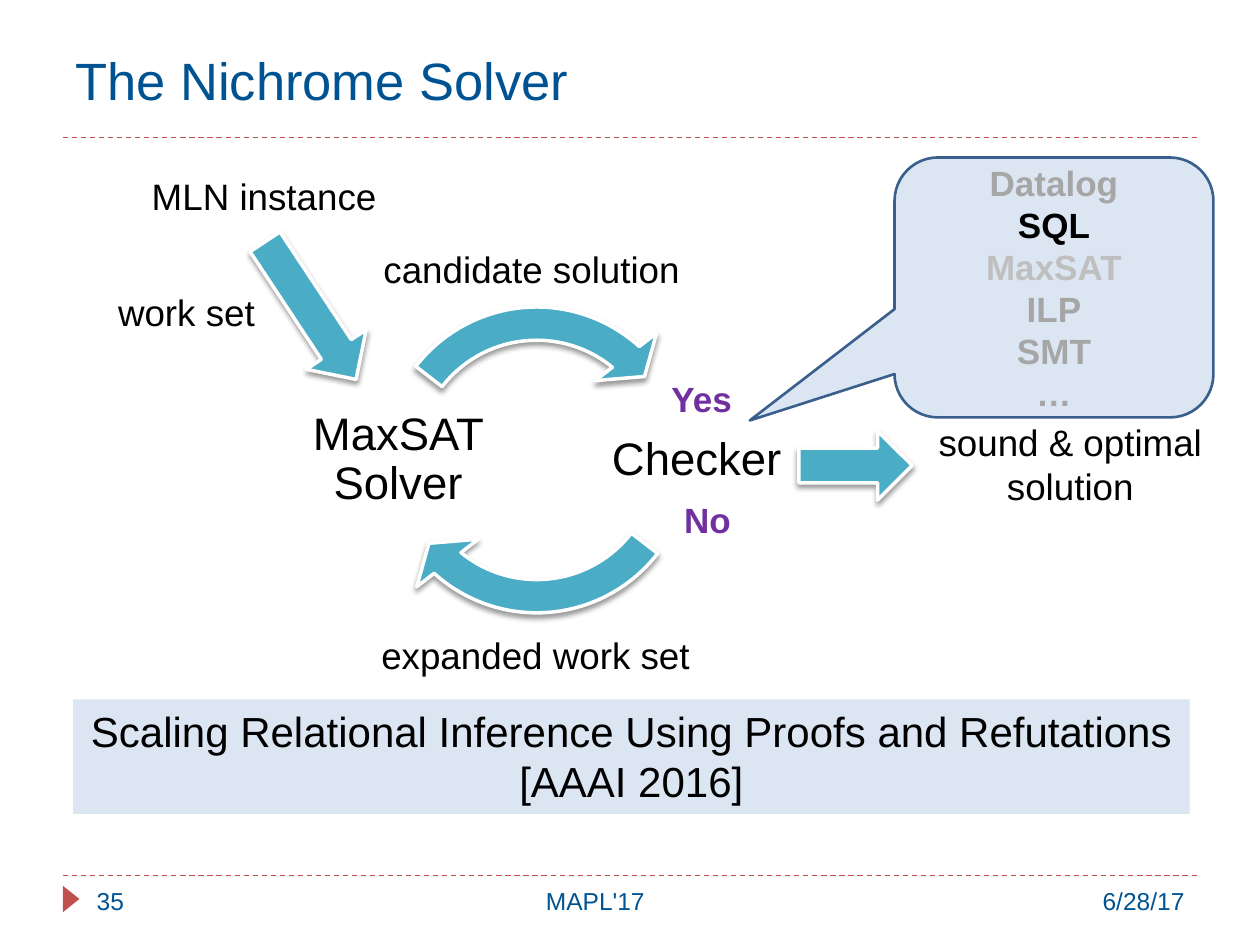
from lxml import etree
from pptx import Presentation
from pptx import util as u
from pptx.dml.color import RGBColor
from pptx.enum import dml, shapes, text
from pptx.oxml.ns import qn

COLORS = {
    "black": "000000",
    "white": "FFFFFF",
    "blue": "005392",
    "red": "C0504D",
    "teal": "4BACC6",
    "pale": "DCE6F2",
    "outline": "3A5F8C",
    "purple": "7030A0",
    "gray": "A6A6A6",
    "silver": "BFBFBF",
}
FONT = "Arial"
SHAPE = shapes.MSO_SHAPE
ALIGN = text.PP_ALIGN
ANCHOR = text.MSO_ANCHOR


def rgb(name):
    return RGBColor.from_string(COLORS[name])


def write(sp, lines, size, align=ALIGN.CENTER, anchor=ANCHOR.TOP, bold=False, spacing=None):
    tf = sp.text_frame
    tf.word_wrap = True
    tf.vertical_anchor = anchor
    for i, (words, color) in enumerate(lines):
        p = tf.paragraphs[0] if i == 0 else tf.add_paragraph()
        p.alignment = align
        if spacing:
            p.line_spacing = spacing
        r = p.add_run()
        r.text = words
        r.font.name = FONT
        r.font.size = u.Pt(size)
        r.font.bold = bold
        r.font.color.rgb = rgb(color)


def add_label(s, box, words, size=21, color="black", margin=None, **style):
    sp = s.shapes.add_textbox(*map(u.Pt, box))
    tf = sp.text_frame
    if margin is not None:
        tf.margin_left = tf.margin_right = u.Pt(margin)
        tf.margin_top = tf.margin_bottom = u.Pt(margin)
    write(sp, [(words, color)], size, **style)


def add_block(s, kind, box, fill, line=None, width=1, adjustments=(), rotation=0):
    sp = s.shapes.add_shape(kind, *map(u.Pt, box))
    sp.shadow.inherit = False
    sp.rotation = rotation
    sp.fill.solid()
    sp.fill.fore_color.rgb = rgb(fill)
    if line:
        sp.line.color.rgb = rgb(line)
        sp.line.width = u.Pt(width)
    else:
        sp.line.fill.background()
    for i, value in enumerate(adjustments):
        sp.adjustments[i] = value
    return sp


def add_arrow(s, kind, box, **options):
    sp = add_block(s, kind, box, "teal", "white", 2, **options)
    effects = sp._element.spPr.find(qn("a:effectLst"))
    shadow = etree.SubElement(effects, qn("a:outerShdw"), blurRad=str(u.Pt(3)),
                              dist=str(u.Pt(2)), dir="5400000", rotWithShape="0")
    color = etree.SubElement(shadow, qn("a:srgbClr"), val=COLORS["black"])
    etree.SubElement(color, qn("a:alpha"), val="40000")


def add_rule(s, y):
    line = s.shapes.add_connector(shapes.MSO_CONNECTOR.STRAIGHT,
                                  u.Pt(36), u.Pt(y), u.Pt(684), u.Pt(y))
    line.line.color.rgb = rgb("red")
    line.line.width = u.Pt(0.75)
    line.line.dash_style = dml.MSO_LINE.DASH
    etree.SubElement(line._element.spPr, qn("a:effectLst"))


def add_frame(s):
    for y in (500.4, 78.5):
        add_rule(s, y)
    add_block(s, SHAPE.ISOSCELES_TRIANGLE, (33.1, 509, 15.1, 9.4), "red", rotation=90)
    add_label(s, (36, 12.2, 648, 67), "The Nichrome Solver", 30, "blue",
              align=ALIGN.LEFT, anchor=ANCHOR.MIDDLE)
    for left, width, words, align in (
        (504, 180, "6/28/17", ALIGN.RIGHT),
        (48.2, 64, "35", ALIGN.LEFT),
        (112.3, 455.8, "MAPL'17", ALIGN.CENTER),
    ):
        add_label(s, (left, 502.6, width, 28.8), words, 14, "blue", align=align)


def add_boxes(s):
    banner = add_block(s, SHAPE.RECTANGLE, (41.8, 399.6, 638, 65.5), "pale")
    write(banner, [("Scaling Relational Inference Using Proofs and Refutations [AAAI 2016]",
                    "black")], 24)
    callout = add_block(s, SHAPE.ROUNDED_RECTANGULAR_CALLOUT, (511.2, 90, 182.2, 148.5),
                        "pale", "outline", 1.5, (-0.954, 0.512, 0.167))
    write(callout, [("Datalog", "gray"), ("SQL", "black"), ("MaxSAT", "silver"),
                    ("ILP", "gray"), ("SMT", "gray"), ("…", "gray")],
          20, anchor=ANCHOR.MIDDLE, bold=True)


def add_cycle(s):
    for box, words in (((344.9, 214.6, 106.6, 97.2), "Checker"),
                       ((174.2, 218.9, 106.6, 88.6), "MaxSAT Solver")):
        add_label(s, box, words, 26, margin=2.9, anchor=ANCHOR.MIDDLE, spacing=0.9)
    for end, start in ((78.516, 22.636), (186.516, 130.636)):
        add_arrow(s, SHAPE.CIRCULAR_ARROW, (206.6, 162.7, 200.2, 200.2),
                  adjustments=(0.095, 6.848, end, start, 0.111))
    add_arrow(s, SHAPE.RIGHT_ARROW, (130.3, 157, 94.3, 41), rotation=56.5)
    add_arrow(s, SHAPE.RIGHT_ARROW, (456.5, 246.2, 64.8, 39.6))


def add_labels(s):
    instance = add_block(s, SHAPE.RECTANGLE, (31, 95.8, 239.8, 32.4), "white")
    write(instance, [("MLN instance", "black")], 21)
    for box, words in (
        ((46.8, 162, 119.5, 33.8), "work set"),
        ((202.3, 357.8, 207.4, 32.4), "expanded work set"),
        ((206.6, 137.5, 194.4, 33.8), "candidate solution"),
        ((501.8, 236.2, 219.6, 58.3), "sound & optimal solution"),
    ):
        add_label(s, box, words)
    for left, top, words in ((376.6, 212.4, "Yes"), (383.8, 281.5, "No")):
        add_label(s, (left, top, 54, 32), words, 20, "purple", align=ALIGN.LEFT, bold=True)


def main():
    prs = Presentation()
    prs.slide_width, prs.slide_height = u.Pt(720), u.Pt(540)
    s = prs.slides.add_slide(prs.slide_layouts[6])
    add_frame(s)
    add_boxes(s)
    add_cycle(s)
    add_labels(s)
    prs.save("out.pptx")


if __name__ == "__main__":
    main()
